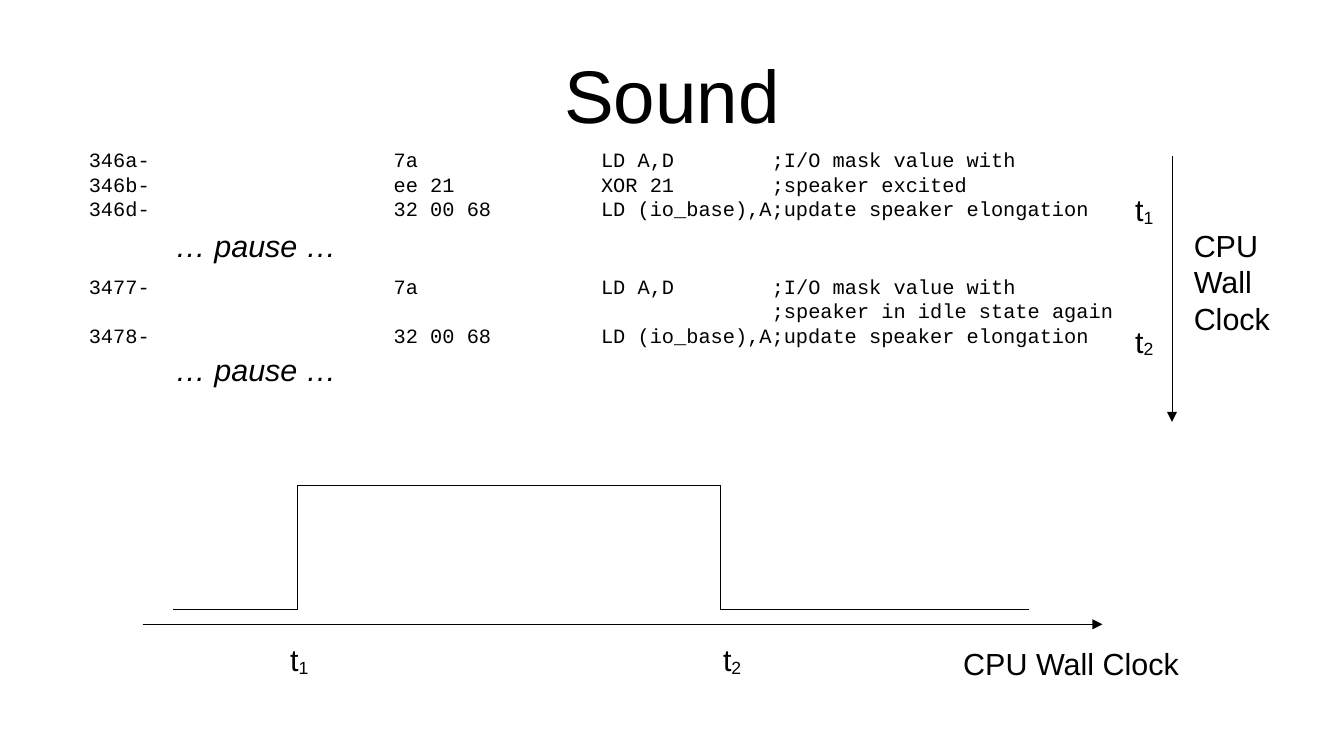
from itertools import pairwise

from lxml import etree
from pptx import Presentation
from pptx import util as u
from pptx.dml.color import RGBColor
from pptx.enum import shapes, text
from pptx.oxml import ns

BLACK = RGBColor(0, 0, 0)
WHITE = RGBColor(255, 255, 255)
SANS = "Arial"
MONO = "Courier New"
CODE_COLUMNS = (2.5, 4.2, 5.6)
CLOCK = "CPU Wall Clock"

SPEAKER_ON = (
    "346a-\t7a\tLD A,D\t;I/O mask value with",
    "346b-\tee 21\tXOR 21\t;speaker excited",
    "346d-\t32 00 68\tLD (io_base),A;update speaker elongation",
)
SPEAKER_IDLE = (
    "3477-\t7a\tLD A,D\t;I/O mask value with",
    "\t\t\t;speaker in idle state again",
    "3478-\t32 00 68\tLD (io_base),A;update speaker elongation",
)


def inches(*lengths):
    return [u.Inches(length) for length in lengths]


def style(run, size=18, font=SANS, italic=None):
    run.font.size = u.Pt(size)
    run.font.name = font
    run.font.italic = italic
    run.font.color.rgb = BLACK


def add_label(slide, box, wording, **look):
    label = slide.shapes.add_textbox(*inches(*box)).text_frame
    label.word_wrap = True
    label.text = wording
    for paragraph in label.paragraphs:
        for run in paragraph.runs:
            style(run, **look)
    return label


def add_instant(slide, box, index):
    instant = add_label(slide, box, "t").paragraphs[0]
    subscript = instant.add_run()
    subscript.text = str(index)
    style(subscript)
    subscript.font._element.set("baseline", "-8000")


def add_line(slide, start, end, arrow=False):
    line = slide.shapes.add_connector(
        shapes.MSO_CONNECTOR.STRAIGHT, *inches(*start, *end))
    line.line.color.rgb = BLACK
    properties = line._element.spPr
    stroke = properties.get_or_add_ln()
    stroke.set("w", "0")
    if arrow:
        etree.SubElement(stroke, ns.qn("a:tailEnd"), type="triangle")
    etree.SubElement(properties, ns.qn("a:effectLst"))


def add_title(slide, box):
    title = slide.shapes.title
    title.left, title.top, title.width, title.height = inches(*box)
    frame = title.text_frame
    frame.text = "Sound"
    frame.auto_size = text.MSO_AUTO_SIZE.NONE
    frame.vertical_anchor = text.MSO_ANCHOR.MIDDLE
    frame.margin_left = frame.margin_right = 0
    frame.margin_top = frame.margin_bottom = 0
    frame.paragraphs[0].alignment = text.PP_ALIGN.CENTER
    style(frame.paragraphs[0].runs[0], size=44)


def add_code(slide, box, instructions):
    code = add_label(slide, box, "\n".join(instructions), size=12, font=MONO)
    for paragraph in code.paragraphs:
        stops = etree.SubElement(paragraph._p.get_or_add_pPr(),
                                 ns.qn("a:tabLst"))
        for column in CODE_COLUMNS:
            etree.SubElement(stops, ns.qn("a:tab"),
                             pos=str(u.Inches(column)), algn="l")


def add_listing(slide, box):
    left, top, width, height = box
    add_code(slide, (left, top, width, 0.96), SPEAKER_ON)
    add_code(slide, (left, top + 1.04, width, 0.88), SPEAKER_IDLE)
    for pause_top in (top + 0.65, top + height - 0.38):
        add_label(slide, (left + 0.71, pause_top, 1.65, 0.38),
                  "… pause …", italic=True)


def add_vertical_clock(slide, box):
    left, top, width, height = box
    axis = left + 0.4
    for index, offset in ((1, 0.24), (2, 1.32)):
        add_instant(slide, (left, top + offset, width, 0.46), index)
    add_line(slide, (axis, top), (axis, top + height), arrow=True)
    add_label(slide, (axis + 0.08, top + 0.53, 0.94, 1.22), CLOCK)


def add_waveform(slide, box):
    left, top, width, height = box
    low = top + 1.02
    axis = low + 0.12
    rise, fall = left + 1.27, left + 4.74
    signal = ((left + 0.25, low), (rise, low), (rise, top),
              (fall, top), (fall, low), (left + 7.26, low))
    add_line(slide, (left, axis), (left + 7.87, axis), arrow=True)
    for start, end in pairwise(signal):
        add_line(slide, start, end)
    for index, instant_left in ((1, rise - 0.16), (2, fall - 0.08)):
        add_instant(slide, (instant_left, axis + 0.09, 0.39, 0.46), index)
    add_label(slide, (left + width - 2.44, top + height - 0.43, 2.44, 0.43),
              CLOCK)


deck = Presentation()
deck.slide_width, deck.slide_height = inches(11.02, 6.2)
sound = deck.slides.add_slide(deck.slide_layouts[5])
sound.background.fill.solid()
sound.background.fill.fore_color.rgb = WHITE
add_title(sound, (0.55, 0.25, 9.92, 1.04))
add_listing(sound, (0.63, 1.16, 9.84, 2.05))
add_vertical_clock(sound, (9.21, 1.28, 1.65, 2.18))
add_waveform(sound, (1.17, 3.98, 9.07, 1.69))
deck.save("out.pptx")
